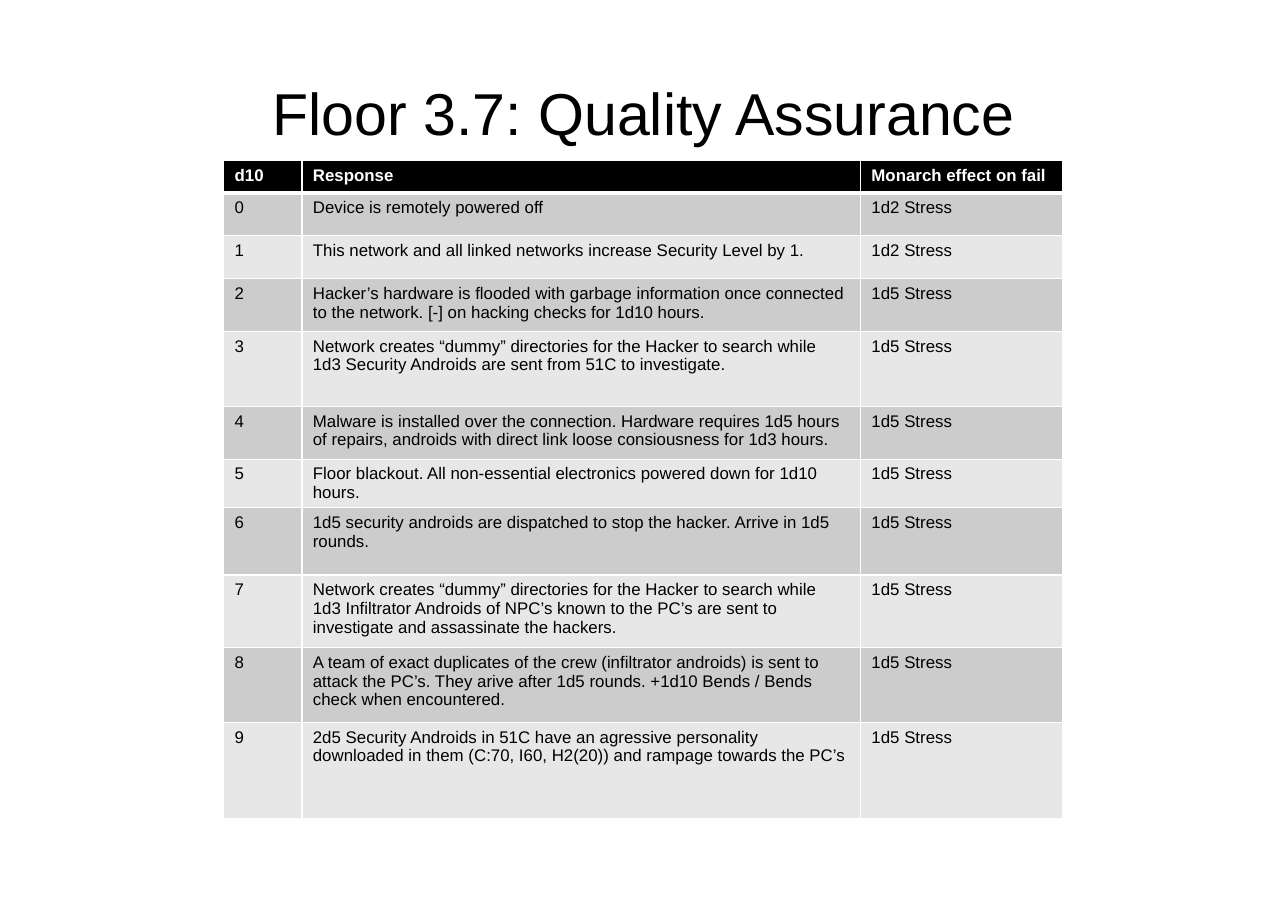
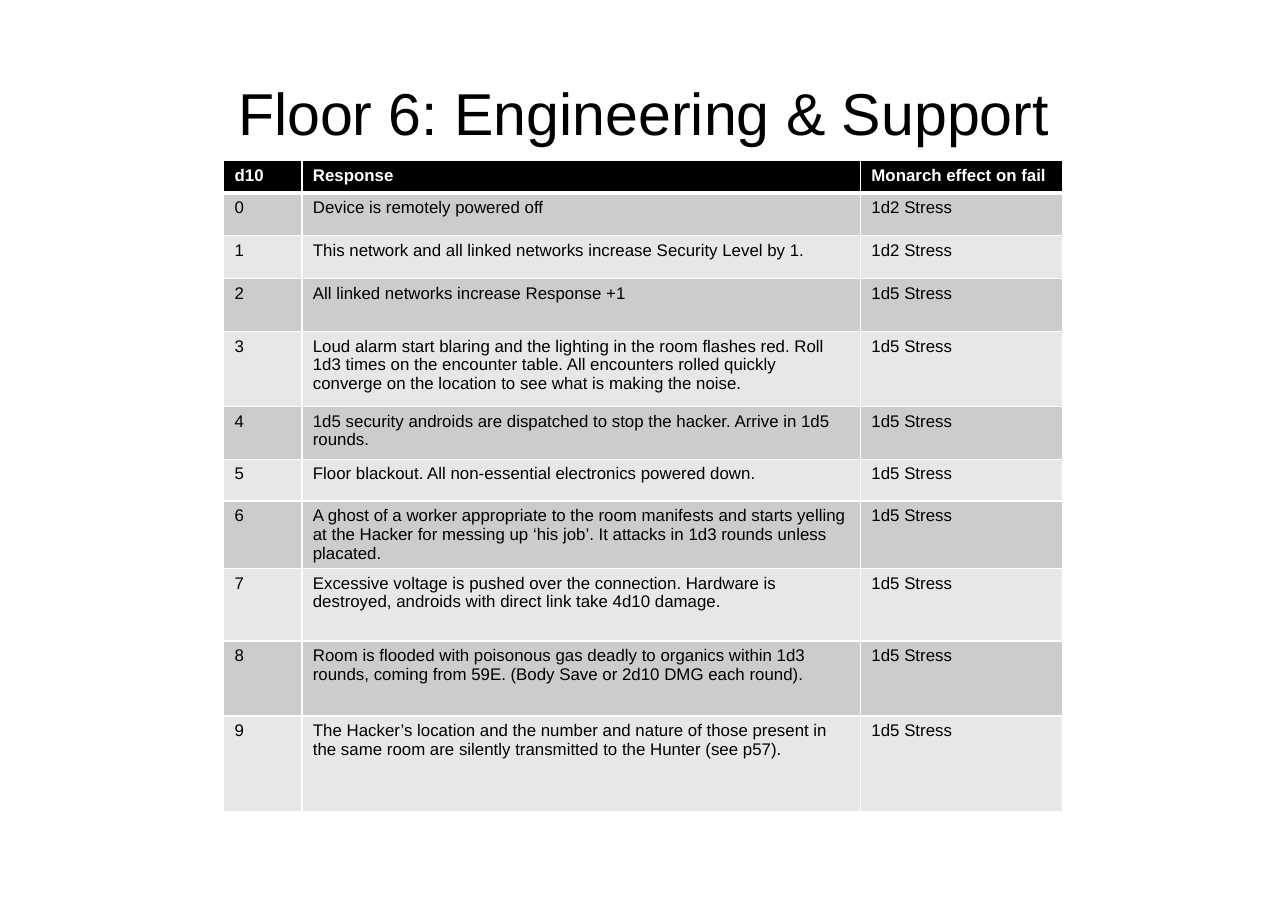
import pptx
import pptx.dml.color
import pptx.enum.text
import pptx.oxml.ns
import pptx.util
import lxml.etree

SLIDE_W, SLIDE_H = 11.69, 8.27
FONT = "Arial"
BLACK, WHITE = "000000", "FFFFFF"
BANDS = ("CCCCCC", "E7E7E7")
TITLE_STYLE = {"size": pptx.util.Pt(38.6), "name": FONT, "bold": False}
CELL_STYLE = {"size": pptx.util.Pt(11), "name": FONT}

# Table grid in inches
TABLE_LEFT, TABLE_TOP = 2.03, 1.46
COLUMNS = (0.71, 5.07, 1.84)
ROWS = (0.29, 0.39, 0.39, 0.48, 0.68, 0.48, 0.38, 0.61, 0.66, 0.68, 0.87)

HEADER = ("d10", "Response", "Monarch effect on fail")
EFFECTS = ["1d2 Stress"] * 2 + ["1d5 Stress"] * 8
SHARED_RESPONSES = [
    "Device is remotely powered off",
    "This network and all linked networks increase Security Level by 1.",
]
FLOORS = {
    "Floor 3.7: Quality Assurance": [
        "Hacker’s hardware is flooded with garbage information once connected "
        "to the network. [-] on hacking checks for 1d10 hours.",
        "Network creates “dummy” directories for the Hacker to search while "
        "1d3 Security Androids are sent from 51C to investigate.",
        "Malware is installed over the connection. Hardware requires 1d5 hours "
        "of repairs, androids with direct link loose consiousness for 1d3 hours.",
        "Floor blackout. All non-essential electronics powered down for 1d10 hours.",
        "1d5 security androids are dispatched to stop the hacker. Arrive in 1d5 rounds.",
        "Network creates “dummy” directories for the Hacker to search while "
        "1d3 Infiltrator Androids of NPC’s known to the PC’s are sent to "
        "investigate and assassinate the hackers.",
        "A team of exact duplicates of the crew (infiltrator androids) is sent to "
        "attack the PC’s. They arive after 1d5 rounds. +1d10 Bends / Bends "
        "check when encountered.",
        "2d5 Security Androids in 51C have an agressive personality "
        "downloaded in them (C:70, I60, H2(20)) and rampage towards the PC’s",
    ],
    "Floor 6: Engineering & Support": [
        "All linked networks increase Response +1",
        "Loud alarm start blaring and the lighting in the room flashes red. Roll "
        "1d3 times on the encounter table. All encounters rolled quickly "
        "converge on the location to see what is making the noise.",
        "1d5 security androids are dispatched to stop the hacker. Arrive in 1d5 rounds.",
        "Floor blackout. All non-essential electronics powered down.",
        "A ghost of a worker appropriate to the room manifests and starts yelling "
        "at the Hacker for messing up ‘his job’. It attacks in 1d3 rounds unless placated.",
        "Excessive voltage is pushed over the connection. Hardware is "
        "destroyed, androids with direct link take 4d10 damage.",
        "Room is flooded with poisonous gas deadly to organics within 1d3 "
        "rounds, coming from 59E. (Body Save or 2d10 DMG each round).",
        "The Hacker’s location and the number and nature of those present in "
        "the same room are silently transmitted to the Hunter (see p57).",
    ],
}


def rgb(value):
    return pptx.dml.color.RGBColor.from_string(value)


def set_attrs(obj, values):
    for name, value in values.items():
        setattr(obj, name, value)


def add_run(p, text, style, color):
    r = p.add_run()
    r.text = text
    set_attrs(r.font, style)
    r.font.color.rgb = rgb(color)


def set_borders(cell, widths):
    """Draw white cell borders; widths maps a side to points."""
    tc_pr = cell._tc.get_or_add_tcPr()
    qn = pptx.oxml.ns.qn
    for side, width in widths.items():
        ln = lxml.etree.SubElement(tc_pr, qn("a:ln" + side), w=str(pptx.util.Pt(width)))
        fill = lxml.etree.SubElement(ln, qn("a:solidFill"))
        lxml.etree.SubElement(fill, qn("a:srgbClr"), val=WHITE)


def add_title(s, text):
    sp = s.shapes.title
    set_attrs(sp, {
        "left": pptx.util.Inches(0.05 * SLIDE_W),
        "top": pptx.util.Inches(0.04 * SLIDE_H),
        "width": pptx.util.Inches(0.9 * SLIDE_W),
        "height": pptx.util.Inches(SLIDE_H / 6),
    })
    tf = sp.text_frame
    set_attrs(tf, {
        "word_wrap": True,
        "auto_size": pptx.enum.text.MSO_AUTO_SIZE.NONE,
        "vertical_anchor": pptx.enum.text.MSO_ANCHOR.MIDDLE,
    })
    p = tf.paragraphs[0]
    p.alignment = pptx.enum.text.PP_ALIGN.CENTER
    add_run(p, text, TITLE_STYLE, BLACK)


def fill_cell(cell, text, row):
    is_header = row == 0
    set_borders(cell, {"L": 1, "R": 1, "T": 3 if row == 1 else 1, "B": 3 if is_header else 1})
    cell.fill.solid()
    cell.fill.fore_color.rgb = rgb(BLACK if is_header else BANDS[(row - 1) % 2])
    add_run(cell.text_frame.paragraphs[0], text, {**CELL_STYLE, "bold": is_header},
            WHITE if is_header else BLACK)


def add_response_table(s, responses):
    lines = [HEADER]
    lines += [(str(i), *pair) for i, pair in enumerate(zip(responses, EFFECTS))]
    box = (TABLE_LEFT, TABLE_TOP, sum(COLUMNS), sum(ROWS))
    table = s.shapes.add_table(len(ROWS), len(COLUMNS), *map(pptx.util.Inches, box)).table
    for column, width in zip(table.columns, COLUMNS):
        column.width = pptx.util.Inches(width)
    for i, (height, texts) in enumerate(zip(ROWS, lines)):
        table.rows[i].height = pptx.util.Inches(height)
        for j, text in enumerate(texts):
            fill_cell(table.cell(i, j), text, i)


def main():
    prs = pptx.Presentation()
    prs.slide_width = pptx.util.Inches(SLIDE_W)
    prs.slide_height = pptx.util.Inches(SLIDE_H)
    for title, responses in FLOORS.items():
        s = prs.slides.add_slide(prs.slide_layouts[5])
        add_title(s, title)
        add_response_table(s, SHARED_RESPONSES + responses)
    prs.save("out.pptx")


if __name__ == "__main__":
    main()
